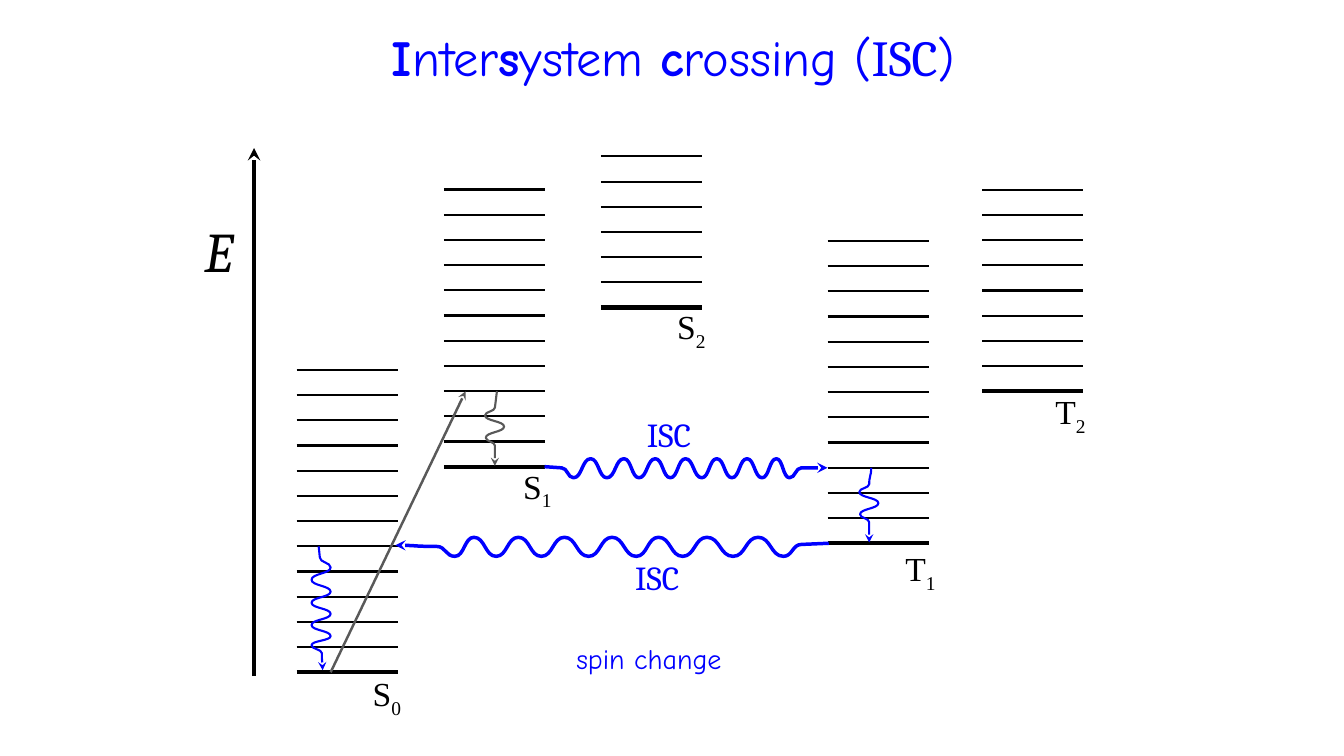
from dataclasses import dataclass

from lxml.etree import SubElement
from pptx import Presentation
from pptx.dml.color import RGBColor as Color
from pptx.enum.shapes import MSO_CONNECTOR as Connector
from pptx.enum.text import MSO_ANCHOR as Anchor, MSO_AUTO_SIZE as AutoSize, PP_ALIGN as Align
from pptx.oxml.ns import qn
from pptx.util import Cm, Pt


@dataclass(frozen=True)
class Theme:
    black: Color = Color(0, 0, 0)
    blue: Color = Color(0, 0, 255)
    grey: Color = Color(0x59, 0x59, 0x59)
    hand: str = "Comic Neue"
    serif: str = "Cambria"
    roman: str = "Times New Roman"
    title_size: int = 36
    axis_size: int = 40
    label_size: int = 24
    note_size: int = 20
    thin: float = 1.5
    medium: float = 1.75
    wave: float = 2.5
    thick: float = 3


class EnergyDiagram:
    """Draws on one slide; all lengths are in centimetres."""

    level_width = 2.55
    level_gap = 7.62 / 12

    def __init__(self, slide, theme):
        self.slide = slide
        self.theme = theme

    def title(self, pieces):
        shape = self.slide.shapes.title
        shape.left, shape.top, shape.width, shape.height = Cm(4.93), Cm(0.53), Cm(24.08), Cm(1.8)
        frame = shape.text_frame
        frame.auto_size = AutoSize.NONE
        frame.vertical_anchor = Anchor.MIDDLE
        paragraph = frame.paragraphs[0]
        paragraph.alignment = Align.CENTER
        paragraph.font.size = Pt(self.theme.title_size)
        paragraph.font.color.rgb = self.theme.blue
        for words, font, bold in pieces:
            run = paragraph.add_run()
            run.text = words
            run.font.name = font
            run.font.bold = bold

    def text(self, words, left, top, width, height, font, size, color, italic=False, subscript=""):
        box = self.slide.shapes.add_textbox(Cm(left), Cm(top), Cm(width), Cm(height))
        box.text_frame.word_wrap = False
        paragraph = box.text_frame.paragraphs[0]
        paragraph.font.name = font
        paragraph.font.size = Pt(size)
        paragraph.font.color.rgb = color
        paragraph.font.italic = italic
        paragraph.add_run().text = words
        if subscript:
            run = paragraph.add_run()
            run.text = subscript
            run.font._element.set("baseline", "-25000")

    def stroke(self, shape, color, weight, arrow):
        shape.line.color.rgb = color
        shape.line.width = Pt(weight)
        if arrow:
            outline = shape._element.spPr.find(qn("a:ln"))
            SubElement(outline, qn("a:tailEnd"), type="stealth")

    def line(self, start, end, color, weight, arrow=False):
        ends = [Cm(value) for value in (*start, *end)]
        connector = self.slide.shapes.add_connector(Connector.STRAIGHT, *ends)
        self.stroke(connector, color, weight, arrow)
        SubElement(connector._element.spPr, qn("a:effectLst"))

    def levels(self, left, bottom, gaps):
        for step in range(gaps + 1):
            height = bottom - step * self.level_gap
            weight = self.theme.thin if step else self.theme.thick
            self.line((left, height), (left + self.level_width, height), self.theme.black, weight)

    def wave(self, knots, color, weight, vertical=False):
        """Joins the knots with curves that run along the wave's axis at each knot."""
        controls = []
        for (x0, y0), (x1, y1) in zip(knots, knots[1:]):
            middle_x, middle_y = (x0 + x1) / 2, (y0 + y1) / 2
            if vertical:
                controls += [(x0, middle_y), (x1, middle_y), (x1, y1)]
            else:
                controls += [(middle_x, y0), (middle_x, y1), (x1, y1)]
        start_x, start_y = knots[0]
        builder = self.slide.shapes.build_freeform(Cm(start_x), Cm(start_y))
        builder.add_line_segments([(Cm(x), Cm(y)) for x, y in controls], close=False)
        shape = builder.convert_to_shape()

        # Every three straight segments become one cubic curve
        outline = shape._element.spPr.find(".//" + qn("a:path"))
        segments = outline.findall(qn("a:lnTo"))
        for first in range(0, len(segments), 3):
            curve = SubElement(outline, qn("a:cubicBezTo"))
            for segment in segments[first:first + 3]:
                curve.append(segment[0])
                outline.remove(segment)
        shape.fill.background()
        shape.shadow.inherit = False
        self.stroke(shape, color, weight, arrow=True)

    def decay(self, origin, offsets, color):
        knots = [(origin[0] + x, origin[1] + y) for x, y in offsets]
        self.wave(knots, color, self.theme.thin, vertical=True)

    def crossing(self, lead_in, turns, low, high, lead_out):
        swings = [(x, high if index % 2 else low) for index, x in enumerate(turns)]
        self.wave(lead_in + swings + lead_out, self.theme.blue, self.theme.wave)


# Ladders: state, number, left, bottom, gaps, label left, label top
LADDERS = [
    ("S", "0", 7.47, 16.94, 12, 9.14, 16.84),
    ("S", "1", 11.18, 11.76, 11, 12.93, 11.61),
    ("S", "2", 15.14, 7.75, 6, 16.81, 7.59),
    ("T", "1", 20.85, 13.69, 12, 22.56, 13.69),
    ("T", "2", 24.74, 9.86, 8, 26.34, 9.73),
]
SHORT_DECAY = [(0, 0), (-0.05, 0.41), (-0.3, 0.61), (0.18, 0.89), (-0.28, 1.17),
               (-0.05, 1.37), (-0.05, 1.88)]
LONG_DECAY = [(0, 0), (0.03, 0.28), (0.3, 0.53), (-0.18, 0.84), (0.3, 1.14), (-0.18, 1.42),
              (0.3, 1.7), (-0.18, 1.98), (0.3, 2.26), (-0.18, 2.49), (0.08, 2.69), (0.1, 3.12)]
FORWARD_TURNS = [14.45, 14.88, 15.29, 15.72, 16.1, 16.51, 16.89, 17.27, 17.68, 18.06,
                 18.44, 18.82, 19.2, 19.56, 19.89]
BACK_TURNS = [19.74, 19.1, 18.47, 17.81, 17.2, 16.59, 16.03, 15.42, 14.83, 14.22,
              13.64, 13.06, 12.5, 11.94, 11.46]


def main():
    presentation = Presentation()
    presentation.slide_width, presentation.slide_height = Cm(33.86), Cm(19.05)
    slide = presentation.slides.add_slide(presentation.slide_layouts[5])
    theme = Theme()
    diagram = EnergyDiagram(slide, theme)

    diagram.title([
        ("I", theme.hand, True), ("nter", theme.hand, False), ("s", theme.hand, True),
        ("ystem ", theme.hand, False), ("c", theme.hand, True), ("rossing (", theme.hand, False),
        ("ISC", theme.serif, False), (")", theme.hand, False),
    ])

    # Energy axis
    diagram.line((6.4, 17.04), (6.4, 3.73), theme.black, theme.thick, arrow=True)
    diagram.text("E", 4.9, 5.33, 1.32, 1.96, theme.serif, theme.axis_size, theme.black, italic=True)

    # Energy levels with their state labels
    for state, number, left, bottom, gaps, label_left, label_top in LADDERS:
        diagram.levels(left, bottom, gaps)
        diagram.text(state, label_left, label_top, 1.3, 1.3, theme.roman, theme.label_size,
                     theme.black, subscript=number)

    # Absorption and vibrational decay
    diagram.line((8.33, 16.94), (11.73, 9.86), theme.grey, theme.medium, arrow=True)
    diagram.decay((12.52, 9.86), SHORT_DECAY, theme.grey)
    diagram.decay((21.95, 11.79), SHORT_DECAY, theme.blue)
    diagram.decay((8.03, 13.77), LONG_DECAY, theme.blue)

    # Crossings between singlet and triplet states
    diagram.crossing([(13.72, 11.76), (14.15, 11.79)], FORWARD_TURNS, 12.04, 11.56,
                     [(20.19, 11.79), (20.85, 11.79)])
    diagram.crossing([(20.88, 13.69), (20.19, 13.72)], BACK_TURNS, 14.02, 13.54,
                     [(11, 13.77), (9.96, 13.74)])
    for left, top in [(16.05, 10.31), (15.75, 13.92)]:
        diagram.text("ISC", left, top, 1.68, 1.3, theme.serif, theme.label_size, theme.blue)
    diagram.text("spin change", 14.27, 16.03, 4.52, 1.12, theme.hand, theme.note_size, theme.blue)

    presentation.save("out.pptx")


if __name__ == "__main__":
    main()
